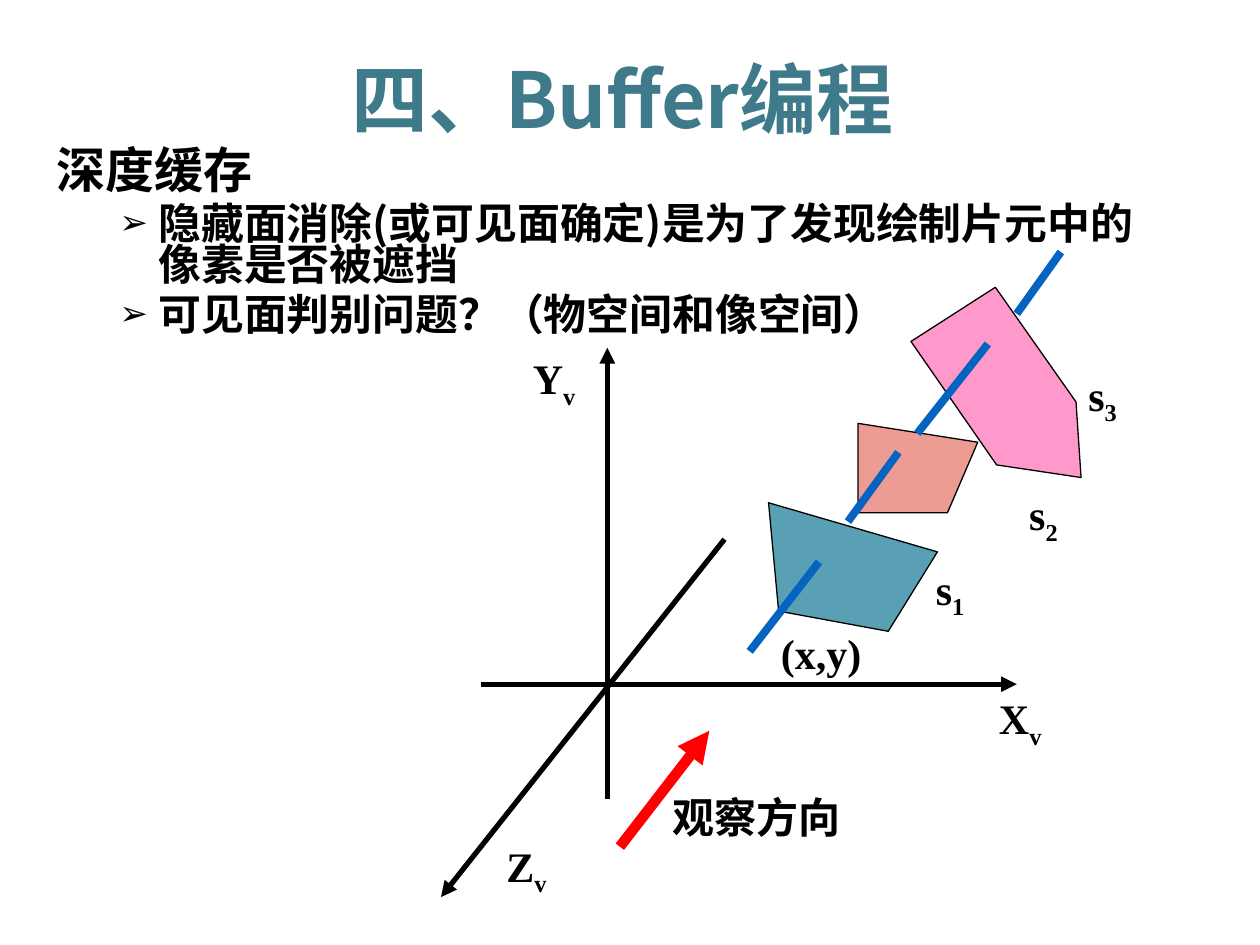
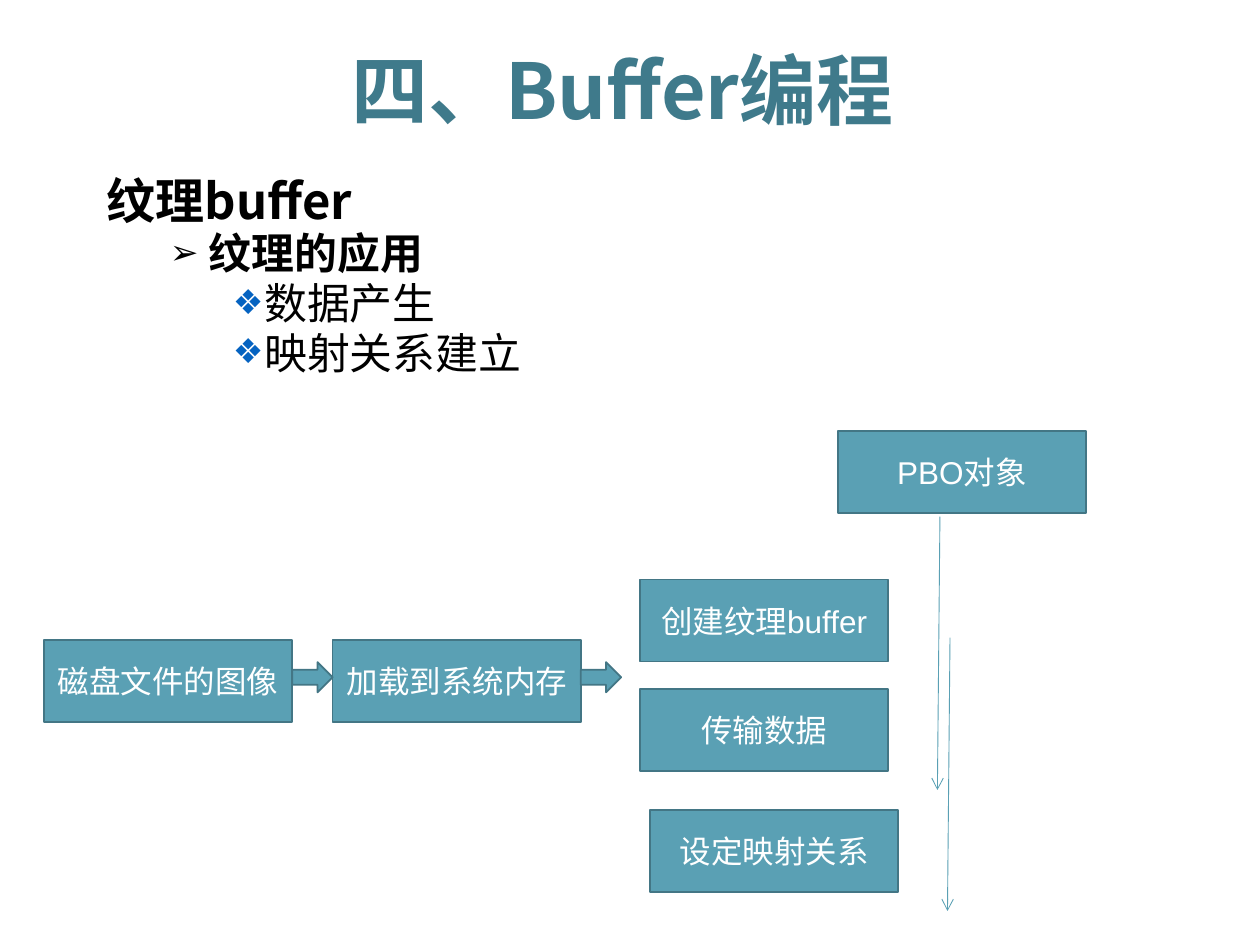
import dataclasses

import pptx
import pptx.dml.color
import pptx.enum.shapes
import pptx.enum.text
import pptx.oxml.ns
import pptx.util
from lxml import etree

SHAPE = pptx.enum.shapes.MSO_SHAPE
ALIGN = pptx.enum.text.PP_ALIGN
ANCHOR = pptx.enum.text.MSO_ANCHOR
COLUMNS, ROWS = 100, 75
CELL = pptx.util.Inches(10) // COLUMNS


@dataclasses.dataclass(frozen=True)
class Theme:
    title: str = "3F7A8B"
    ink: str = "000000"
    white: str = "FFFFFF"
    teal: str = "5AA0B4"
    teal_edge: str = "437685"
    salmon: str = "ED9C94"
    pink: str = "FF99CC"
    blue: str = "0563C1"
    red: str = "FF0000"
    cjk: str = "Noto Sans CJK SC"
    serif: str = "Times New Roman"
    sans: str = "Arial"
    title_size: float = 44
    heading_size: float = 28
    item_size: float = 24.5
    label_size: float = 24
    step_size: float = 18


THEME = Theme()


@dataclasses.dataclass(frozen=True)
class Box:
    """An area in grid cells."""
    left: float
    top: float
    width: float
    height: float

    def inner(self, column, row, width, height):
        return Box(self.left + column, self.top + row, width, height)

    def point(self, column, row):
        return round((self.left + column) * CELL), round((self.top + row) * CELL)

    def emu(self):
        return (*self.point(0, 0), round(self.width * CELL), round(self.height * CELL))


@dataclasses.dataclass(frozen=True)
class Level:
    size: float
    bold: bool
    margin: float
    hanging: float
    bullet: str = ""
    bullet_color: str = THEME.ink


LEVELS = [
    Level(THEME.heading_size, True, 0.4, 0.4),
    Level(THEME.item_size, True, 0.81, 0.31, "➢"),
    Level(THEME.item_size, False, 1.25, 0.25, "❖", THEME.blue),
]

TITLE_BOX = Box(2.7, 2.1, 93.4, 9.9)
TITLE = "四、Buffer编程"


def rgb(color):
    return pptx.dml.color.RGBColor.from_string(color)


def child(parent, tag, **attributes):
    return etree.SubElement(parent, pptx.oxml.ns.qn(tag), **attributes)


def write(paragraph, text, *, size, color=THEME.ink, font=THEME.cjk, bold=False,
          subscript="", align=ALIGN.LEFT, spacing=None):
    paragraph.alignment = align
    if spacing:
        paragraph.line_spacing = spacing
    for piece in filter(None, (text, subscript)):
        run = paragraph.add_run()
        run.text = piece
        run.font.size = pptx.util.Pt(size)
        run.font.bold = bold
        run.font.name = font
        run.font.color.rgb = rgb(color)
        properties = run.font._element
        child(properties, "a:ea", typeface=THEME.cjk)
        if piece is subscript:
            properties.set("baseline", "-25000")


def add_frame(slide, box, wrap=True, anchor=ANCHOR.TOP):
    frame = slide.shapes.add_textbox(*box.emu()).text_frame
    frame.word_wrap = wrap
    frame.vertical_anchor = anchor
    return frame


def add_title(slide, box, spacing=None):
    frame = add_frame(slide, box, anchor=ANCHOR.MIDDLE)
    write(frame.paragraphs[0], TITLE, size=THEME.title_size, color=THEME.title,
          bold=True, align=ALIGN.CENTER, spacing=spacing)


def add_outline(slide, box, items):
    """Place (level, text) items as an indented list."""
    frame = add_frame(slide, box)
    for index, (depth, text) in enumerate(items):
        level = LEVELS[depth]
        paragraph = frame.add_paragraph() if index else frame.paragraphs[0]
        properties = paragraph._p.get_or_add_pPr()
        properties.set("marL", str(pptx.util.Inches(level.margin)))
        properties.set("indent", str(-pptx.util.Inches(level.hanging)))
        if level.bullet:
            color = child(properties, "a:buClr")
            child(color, "a:srgbClr", val=level.bullet_color)
            child(properties, "a:buSzPct", val="80000")
            child(properties, "a:buFont", typeface=THEME.sans)
            child(properties, "a:buChar", char=level.bullet)
        paragraph.level = depth
        if index:
            paragraph.space_before = pptx.util.Pt(level.size * 0.2)
        write(paragraph, text, size=level.size, bold=level.bold, spacing=0.8)


def add_line(slide, box, start, end, color, width, arrow=None):
    line = slide.shapes.add_connector(
        pptx.enum.shapes.MSO_CONNECTOR.STRAIGHT, *box.point(*start), *box.point(*end))
    line.line.color.rgb = rgb(color)
    line.line.width = pptx.util.Pt(width)
    if arrow:
        child(line.line._get_or_add_ln(), "a:tailEnd", type=arrow)
    child(line._element.spPr, "a:effectLst")


def paint(shape, fill, edge, width):
    shape.shadow.inherit = False
    shape.fill.solid()
    shape.fill.fore_color.rgb = rgb(fill)
    shape.line.color.rgb = rgb(edge)
    shape.line.width = pptx.util.Pt(width)


def add_face(slide, box, corners, fill):
    first, *rest = [box.point(*corner) for corner in corners]
    outline = slide.shapes.build_freeform(*first)
    outline.add_line_segments(rest, close=True)
    paint(outline.convert_to_shape(), fill, THEME.ink, 0.75)


def add_label(slide, box, text, subscript=""):
    frame = add_frame(slide, box, wrap=False)
    write(frame.paragraphs[0], text, subscript=subscript, size=THEME.label_size,
          font=THEME.serif, bold=True)


def add_view_space(slide, box):
    """Draw the view axes, three surfaces and the line of sight through them."""
    axes = [((3.2, 34.3), (45.7, 34.3)),
            ((13.2, 43.4), (13.2, 7.6)),
            ((22.5, 22.8), (0, 51.2))]
    faces = [
        (THEME.pink, [(50.4, 11.9), (50.8, 17.9), (44.1, 16.9), (37.3, 7.1), (44, 2.8)]),
        (THEME.teal, [(26, 19.9), (26.8, 28.5), (35.5, 30.1), (39.4, 23.8)]),
        (THEME.salmon, [(33.1, 13.6), (33.1, 20.7), (40.2, 20.7), (42.6, 15.1)]),
    ]
    sight = [((24.5, 31.7), (30, 24.6)), ((32.3, 21.4), (36.3, 15.9)),
             ((37.8, 14.4), (43.4, 7.3)), ((45.7, 4.9), (49.2, 0))]
    labels = [
        (43.3, 34.5, 5.5, "X", "v"), (6.3, 7.5, 5.5, "Y", "v"),
        (4.2, 46.2, 5.5, "Z", "v"), (38.3, 24.2, 4.4, "s", "1"),
        (45.7, 18.3, 4.4, "s", "2"), (50.4, 8.8, 4.4, "s", "3"),
        (17.4, 42.3, 15.3, "观察方向", ""), (26, 29.3, 8.4, "(x,y)", ""),
    ]
    for start, end in axes:
        add_line(slide, box, start, end, THEME.ink, 3, "triangle")
    add_line(slide, box, (14.2, 47.2), (21.3, 38), THEME.red, 6, "triangle")
    for fill, corners in faces:
        add_face(slide, box, corners, fill)
    for start, end in sight:
        add_line(slide, box, start, end, THEME.blue, 4.5)
    for column, row, width, text, subscript in labels:
        add_label(slide, box.inner(column, row, width, 5), text, subscript)


def add_block(slide, box, kind, text=""):
    block = slide.shapes.add_shape(kind, *box.emu())
    paint(block, THEME.teal, THEME.teal_edge, 1)
    if text:
        frame = block.text_frame
        frame.word_wrap = True
        frame.vertical_anchor = ANCHOR.MIDDLE
        write(frame.paragraphs[0], text, size=THEME.step_size, color=THEME.white,
              font=THEME.sans, align=ALIGN.CENTER)


def add_texture_flow(slide, box):
    step_width, step_height = 19.7, 6.5
    arrow_width, arrow_height = 3.2, 2.4
    source_row = 16.6
    pitch = step_width + arrow_width
    steps = [
        (0, source_row, "磁盘文件的图像"), (pitch, source_row, "加载到系统内存"),
        (47.3, 11.8, "创建纹理buffer"), (47.3, 20.5, "传输数据"),
        (48.1, 30.1, "设定映射关系"), (63, 0, "PBO对象"),
    ]
    for column, row, text in steps:
        add_block(slide, box.inner(column, row, step_width, step_height),
                  SHAPE.RECTANGLE, text)
    for index in range(2):
        arrow = box.inner(step_width + index * pitch, source_row + 1.75,
                          arrow_width, arrow_height)
        add_block(slide, arrow, SHAPE.RIGHT_ARROW)
        column, row = 71.1 + 0.8 * index, 6.8 + 9.6 * index
        add_line(slide, box, (column, row), (column - 0.2, row + 21.7),
                 THEME.teal, 0.5, "arrow")


def build_depth_slide(slide):
    add_outline(slide, Box(3.5, 11.5, 88.4, 20.4), [
        (0, "深度缓存"),
        (1, "隐藏面消除(或可见面确定)是为了发现绘制片元中的像素是否被遮挡"),
        (1, "可见面判别问题？（物空间和像空间）"),
    ])
    add_title(slide, TITLE_BOX, spacing=1.2)
    add_view_space(slide, Box(35, 20, 55, 52))


def build_texture_slide(slide):
    add_title(slide, TITLE_BOX)
    add_outline(slide, Box(7.5, 13.9, 79.7, 28.9), [
        (0, "纹理buffer"),
        (1, "纹理的应用"),
        (2, "数据产生"),
        (2, "映射关系建立"),
    ])
    add_texture_flow(slide, Box(3.5, 34.2, 83, 38))


def main():
    deck = pptx.Presentation()
    deck.slide_width, deck.slide_height = COLUMNS * CELL, ROWS * CELL
    blank = deck.slide_layouts[6]
    for build in (build_depth_slide, build_texture_slide):
        build(deck.slides.add_slide(blank))
    deck.save("out.pptx")


if __name__ == "__main__":
    main()
